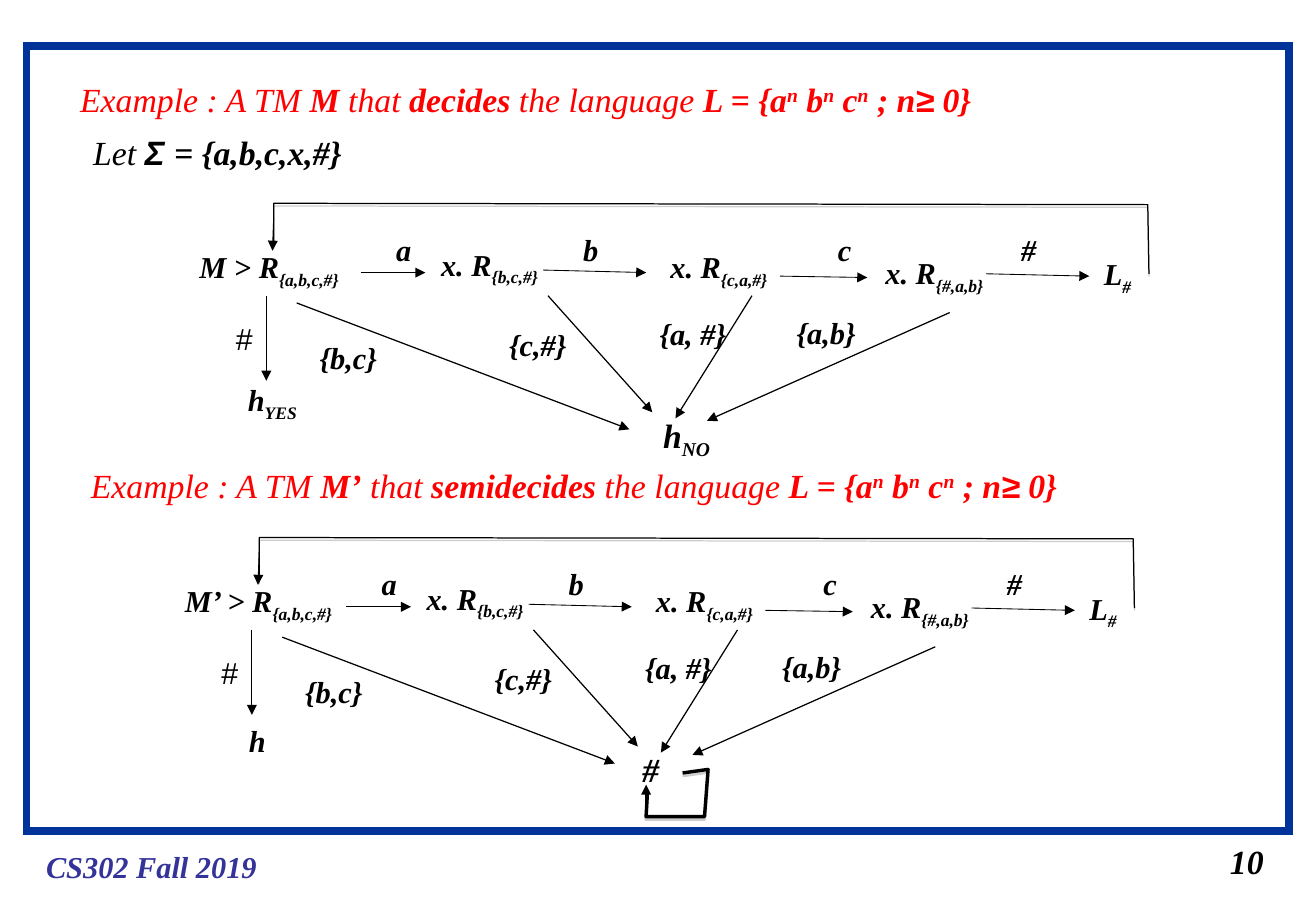
from lxml.etree import SubElement
from pptx import Presentation
from pptx.dml.color import RGBColor
from pptx.enum.shapes import MSO_CONNECTOR, MSO_SHAPE
from pptx.enum.text import MSO_ANCHOR, MSO_AUTO_SIZE, PP_ALIGN
from pptx.oxml.ns import qn
from pptx.util import Pt

SERIF, SANS = "Times New Roman", "Arial"
BLACK, RED, NAVY, INDIGO, GREY = "000000", "FF0000", "003399", "333399", "808080"
BASE = {"name": SERIF, "size": Pt(18), "bold": True, "italic": True}
LARGE = {"size": Pt(20)}
LIGHT = {"bold": False}
SANS_FACE = {"name": SANS}
PLAIN_SANS = {"name": SANS, "bold": False, "italic": False}
SUPER, SUB = {"baseline": 30}, {"baseline": -25}
FIRST_OFFSET, SECOND_OFFSET = (0.3, 0.3), (-8.3, 198.4)

# left, top, width, height, spans, wrap
MACHINE_LABELS = [
    (227.5, 133.2, 24, 28.8, ["a"], False),
    (254.2, 141.8, 74, 31.7, ["x. R", ("{b,c,#}", SUB)], False),
    (338.4, 133.2, 24, 28.8, ["b"], False),
    (390.2, 143.3, 74, 31.7, ["x. R", ("{c,a,#}", SUB)], False),
    (489.6, 133.2, 24, 28.8, ["c"], False),
    (517.7, 146.9, 74, 31.7, ["x. R", ("{#,a,b}", SUB)], False),
    (598.3, 133.2, 24, 28.8, ["#"], False),
    (647.3, 147.6, 35.3, 31.7, ["L", ("#", SUB)], True),
    (132.5, 185.8, 25.5, 28.8, [("#", PLAIN_SANS)], False),
    (182.2, 197.3, 50, 28.8, ["{b,c}"], False),
    (294.5, 189.4, 65.5, 28.8, ["{c,#}"], True),
    (383.8, 182.9, 55.5, 28.8, ["{a, #}"], False),
    (465.1, 182.2, 50.5, 28.8, ["{a,b}"], False),
]
# start x, start y, end x, end y, line width
MACHINE_ARROWS = [
    (213.8, 161.3, 252, 161.3, 0.5),
    (321.8, 159.8, 383, 161.3, 0.5),
    (462.2, 163.4, 514.1, 164.2, 0.5),
    (584.6, 162, 645.8, 163.4, 0.5),
    (162, 128.9, 161.3, 148.3, 0.5),
    (157.7, 175, 157.7, 225.4, 0.5),
    (175.7, 179.3, 373, 254.2, 0.75),
    (324.7, 175, 386.6, 244.1, 0.75),
    (445.7, 175, 400.3, 247.7, 0.75),
    (563, 185, 419, 249.1, 0.75),
]
RETURN_PATH = [(681.1, 162), (680.4, 121), (162, 120.2), (162, 146.2)]
HASH_LOOP = [(404.9, 458.2), (420, 456.1), (417.9, 484.1), (383.2, 484.1), (384, 470.5)]


def color(value):
    return RGBColor.from_string(value)


def write_text(frame, spans, ink=BLACK, wrap=False, **style):
    """Each span is a string or a (string, format) pair."""
    layout = {"word_wrap": wrap, "auto_size": MSO_AUTO_SIZE.SHAPE_TO_FIT_TEXT,
              "vertical_anchor": MSO_ANCHOR.TOP,
              "margin_left": Pt(7.2), "margin_right": Pt(7.2),
              "margin_top": Pt(3.6), "margin_bottom": Pt(3.6)}
    for name, value in layout.items():
        setattr(frame, name, value)
    para = frame.paragraphs[0]
    para.alignment = PP_ALIGN.LEFT
    for item in spans:
        text, extra = (item, {}) if isinstance(item, str) else item
        span = para.add_run()
        span.text = text
        span.font.color.rgb = color(ink)
        for name, value in {**BASE, **style, **extra}.items():
            if name == "baseline":
                span.font._element.set(name, str(value * 1000))
            else:
                setattr(span.font, name, value)


def add_label(shapes, left, top, width, height, spans, wrap=False, **options):
    box = shapes.add_textbox(Pt(left), Pt(top), Pt(width), Pt(height))
    write_text(box.text_frame, spans, wrap=wrap, **options)


def add_arrow(shapes, x1, y1, x2, y2, weight):
    arrow = shapes.add_connector(MSO_CONNECTOR.STRAIGHT, Pt(x1), Pt(y1), Pt(x2), Pt(y2))
    arrow.line.color.rgb = color(BLACK)
    arrow.line.width = Pt(weight)
    SubElement(arrow.line._get_or_add_ln(), qn("a:tailEnd"), type="triangle")
    SubElement(arrow._element.spPr, qn("a:effectLst"))


def add_shadowed_path(shapes, points, weight):
    start, *rest = [(Pt(x), Pt(y)) for x, y in points]
    builder = shapes.build_freeform(*start)
    builder.add_line_segments(rest, close=False)
    outline = builder.convert_to_shape()
    outline.fill.background()
    outline.line.color.rgb = color(BLACK)
    outline.line.width = Pt(weight)
    effects = SubElement(outline._element.spPr, qn("a:effectLst"))
    shadow = SubElement(effects, qn("a:outerShdw"), blurRad="0", dist=str(Pt(1.6)),
                        dir="5400000", rotWithShape="0")
    tint = SubElement(shadow, qn("a:srgbClr"), val=GREY)
    SubElement(tint, qn("a:alpha"), val="38000")


def add_machine(page, name, dx, dy):
    """Draw the parts that both machines share and return their group's shapes."""
    shapes = page.shapes.add_group_shape().shapes
    add_label(shapes, 110.9 + dx, 143.3 + dy, 103 + 6 * (len(name) - 1), 31.7,
              [f"{name} > R", ("{a,b,c,#}", SUB)])
    for left, top, *rest in MACHINE_LABELS:
        add_label(shapes, left + dx, top + dy, *rest)
    add_shadowed_path(shapes, [(x + dx, y + dy) for x, y in RETURN_PATH], 0.75)
    for x1, y1, x2, y2, weight in MACHINE_ARROWS:
        add_arrow(shapes, x1 + dx, y1 + dy, x2 + dx, y2 + dy, weight)
    return shapes


def heading(name, verb):
    return [("Example : A TM ", LIGHT), name, (" that ", LIGHT), verb,
            (" the language ", LIGHT), "L = {a", ("n", SUPER), " b", ("n", SUPER),
            " c", ("n", SUPER), " ; n", ("≥", SANS_FACE), " 0}"]


def add_frame(page):
    frame = page.shapes.add_shape(MSO_SHAPE.RECTANGLE, Pt(15.8), Pt(27.4), Pt(748.8), Pt(465.1))
    frame.shadow.inherit = False
    frame.fill.background()
    frame.line.color.rgb = color(NAVY)
    frame.line.width = Pt(4.5)
    SubElement(frame.line._get_or_add_ln(), qn("a:miter"), lim="800000")


def main():
    deck = Presentation()
    deck.slide_width, deck.slide_height = Pt(780.48), Pt(540)
    page = deck.slides.add_slide(deck.slide_layouts[5])
    add_frame(page)

    title = page.shapes.title
    bounds = {"left": 40.3, "top": 43.2, "width": 702.7, "height": 31.7}
    for name, value in bounds.items():
        setattr(title, name, Pt(value))
    write_text(title.text_frame, heading("M", "decides"), RED, True, **LARGE)

    add_label(page.shapes, 48.2, 74.5, 162, 34.6,
              [("Let ", LIGHT), ("Σ ", SANS_FACE), "= {a,b,c,x,#}"], **LARGE)
    add_label(page.shapes, 46.8, 272.2, 598.3, 31.7,
              heading("M’", "semidecides"), True, ink=RED, **LARGE)
    add_label(page.shapes, 20.2, 499, 142, 28.8, ["CS302 Fall 2019"], ink=INDIGO)
    add_label(page.shapes, 722.4, 494.9, 36, 31.7, ["10"], **LARGE)

    decider = add_machine(page, "M", *FIRST_OFFSET)
    add_label(decider, 139.9, 222.5, 46, 31.7, ["h", ("YES", SUB)])
    add_label(decider, 386.2, 242.2, 44, 34.6, ["h", ("NO", SUB)], **LARGE)

    semidecider = add_machine(page, "M’", *SECOND_OFFSET)
    add_label(semidecider, 140.6, 424.8, 25, 28.8, ["h"])
    add_label(semidecider, 373.9, 440.6, 26, 31.7, ["#"], **LARGE)
    add_shadowed_path(semidecider, HASH_LOOP, 2)
    add_arrow(semidecider, 383.2, 483.1, 383.2, 465.1, 0.75)

    deck.save("out.pptx")


if __name__ == "__main__":
    main()
